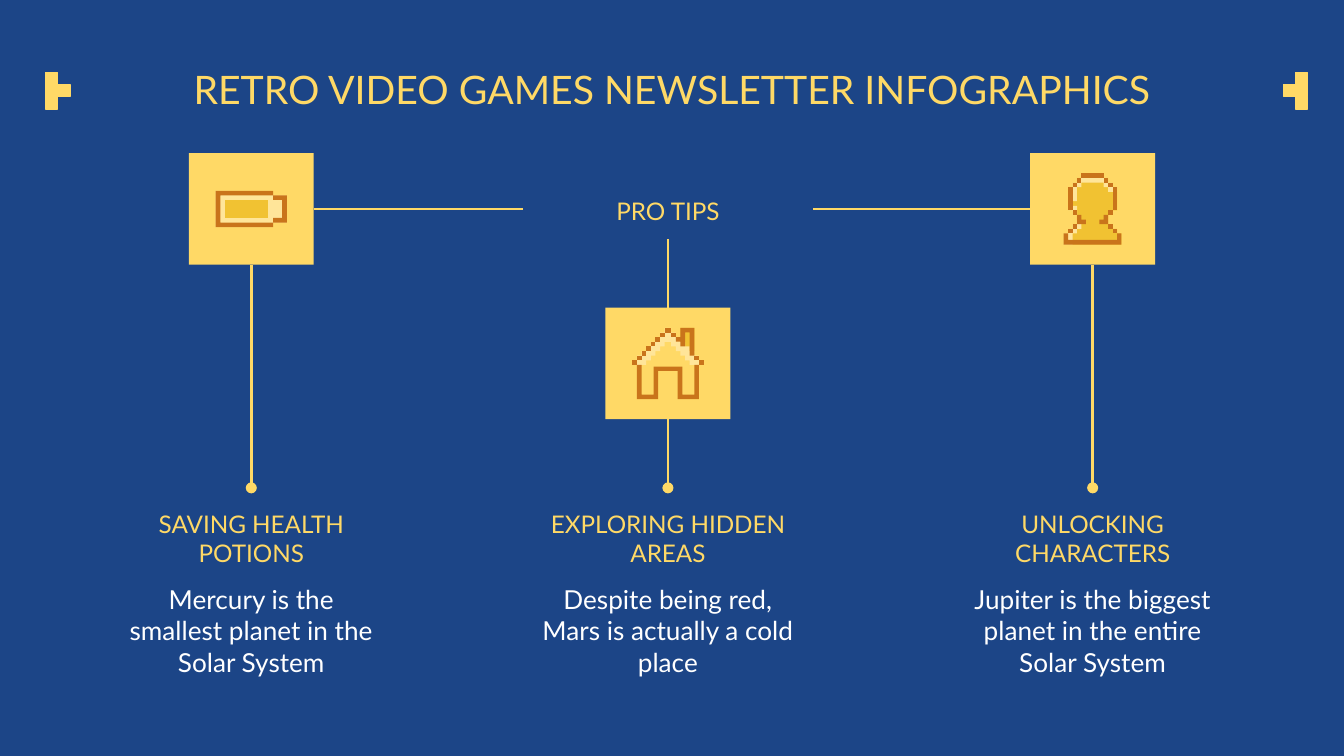
import dataclasses

import lxml.etree
import pptx
import pptx.dml.color
import pptx.enum.shapes
import pptx.enum.text
import pptx.oxml.ns
import pptx.util

Inches = pptx.util.Inches
Pt = pptx.util.Pt
qn = pptx.oxml.ns.qn
RECTANGLE = pptx.enum.shapes.MSO_SHAPE.RECTANGLE
STRAIGHT = pptx.enum.shapes.MSO_CONNECTOR.STRAIGHT
CENTER = pptx.enum.text.PP_ALIGN.CENTER
TOP_ANCHOR = pptx.enum.text.MSO_ANCHOR.TOP
BOTTOM_ANCHOR = pptx.enum.text.MSO_ANCHOR.BOTTOM
TOP, LEFT, BOTTOM, RIGHT = range(4)


@dataclasses.dataclass(frozen=True)
class Theme:
    font: str = "Lato"
    background: str = "1C4587"
    yellow: str = "FFD966"
    gold: str = "F1C232"
    cream: str = "FFE599"
    brown: str = "C9741B"
    white: str = "FFFFFF"
    title_size: float = 21
    heading_size: float = 13
    body_size: float = 14


THEME = Theme()
SLIDE_W = 10
TILE_W, TILE_H = 0.93, 0.83
TEXT_W = 2.16
PIXEL = 0.09


def pixel(x, y):
    return [x, y, x + 1, y + 1]


BATTERY = [
    (THEME.cream, [[0, 0, 12.4, 1, 15.4, 7, 12.4, 8]]),
    (THEME.brown, [[0, 0, 12.4, 1, 1, 7, 12.4, 8],
                   [12.4, 1, 15.4, 7, 12.4, 6, 14.4, 2]]),
    (THEME.gold, [[2, 2, 11.4, 6]]),
]
ROOF_STEPS = [0, 7, 1, 6, 2, 5, 3, 4, 4, 3, 5, 2, 6, 1]
HOUSE = [
    (THEME.yellow, [[7, 0, 8.4, 1, 9.4, 2, 10.4, 0, 13.4, 6, 14.4, 7, 15.4, 8,
                     14.4, 15.4, 9.8, 9.3, 5.6, 15.4, 1, 8] + ROOF_STEPS]),
    (THEME.gold, [[10.4, 0, 13.4, 6, 12.4, 5, 11.4, 4]]),
    (THEME.cream, [[7, 0, 8.4, 1, 9.4, 2, 10.4, 3, 11.4, 4, 12.4, 5, 13.4, 6,
                    14.4, 7, 15.4, 8, 12.4, 7, 11.4, 6, 10.4, 5, 9.4, 4, 8.4, 3,
                    7, 4, 6, 5, 5, 6, 4, 7, 3, 8] + ROOF_STEPS]),
    (THEME.brown, [[7, 0, 8.4, 1],
                   [10.4, 0, 13.4, 6, 12.4, 1, 11.4, 4, 10.4, 3, 9.4, 2],
                   [1, 8, 2, 14.4, 4.6, 8.4, 10.8, 14.4, 13.4, 8, 14.4, 15.4,
                    9.8, 9.3, 5.6, 15.4]]
     + [pixel(i, 7 - i) for i in range(7)]
     + [pixel(8.4, 1), pixel(13.4, 6), pixel(14.4, 7)]),
]
PERSON = [
    (THEME.gold, [[4, 0, 9, 1, 10, 2, 11, 3, 12, 8, 11, 9, 10, 11, 11, 12, 12, 13,
                   13, 15.4, 0, 13, 1, 12, 2, 11, 3, 9, 2, 8, 1, 3, 2, 2, 3, 1]]),
    (THEME.cream, [[3, 10, 4, 12, 3, 13, 2, 15.4, 0, 13, 1, 12, 2, 11],
                   [1, 7, 3, 9, 2, 8],
                   [4, 0, 9, 1, 10, 2, 11, 3, 12, 4, 10, 3, 9, 2, 4, 3, 3, 6,
                    1, 3, 2, 2, 3, 1]]),
    (THEME.brown, [[1, 3, 2, 8], [11, 3, 12, 8], [4, 0, 9, 1],
                   [0, 13, 1, 14.4, 12, 13, 13, 15.4],
                   [9, 9, 10, 11, 8, 10], [3, 9, 4, 10, 5, 11]]
     + [pixel(x, y) for left, y in ((2, 2), (3, 1), (2, 8), (1, 12), (2, 11))
        for x in (left, 12 - left)]),
]
TIPS = [
    (1.87, 1.14, "SAVING HEALTH POTIONS",
     "Mercury is the smallest planet in the Solar System", BATTERY, 0.53, 0.27),
    (4.97, 2.29, "EXPLORING HIDDEN AREAS",
     "Despite being red, Mars is actually a cold place", HOUSE, 0.53, 0.53),
    (8.13, 1.14, "UNLOCKING CHARACTERS",
     "Jupiter is the biggest planet in the entire Solar System", PERSON, 0.43, 0.53),
]


def rgb(color):
    return pptx.dml.color.RGBColor.from_string(color)


def paint(sp, color, outlined=False):
    sp.shadow.inherit = False
    sp.fill.solid()
    sp.fill.fore_color.rgb = rgb(color)
    if outlined:
        sp.line.color.rgb = rgb(color)
        sp.line.width = Pt(0.75)
    else:
        sp.line.fill.background()


def add_box(s, x, y, w, h, outlined=False):
    sp = s.shapes.add_shape(RECTANGLE, Inches(x), Inches(y), Inches(w), Inches(h))
    paint(sp, THEME.yellow, outlined)
    return sp


def add_text(s, x, y, w, h, text, size, color=THEME.yellow,
             anchor=BOTTOM_ANCHOR, space_after=0):
    sp = s.shapes.add_textbox(Inches(x), Inches(y), Inches(w), Inches(h))
    tf = sp.text_frame
    tf.word_wrap = True
    tf.vertical_anchor = anchor
    tf.margin_left = tf.margin_right = tf.margin_top = tf.margin_bottom = Inches(0.1)
    p = tf.paragraphs[0]
    p.text = text
    p.alignment = CENTER
    p.space_after = Pt(space_after)
    p.font.name = THEME.font
    p.font.size = Pt(size)
    p.font.color.rgb = rgb(color)
    return sp


def add_icon(s, cx, cy, w, h, layers):
    outlines = [o for _, group in layers for o in group]
    cell_w = w / max(max(o[::2]) for o in outlines)
    cell_h = h / max(max(o[1::2]) for o in outlines)
    for color, group in layers:
        for outline in group:
            xs = [Inches(cx - w / 2 + x * cell_w) for x in outline[::2]]
            ys = [Inches(cy - h / 2 + y * cell_h) for y in outline[1::2]]
            points = []
            for x, next_x, y in zip(xs, xs[1:] + xs[:1], ys):
                points += [(x, y), (next_x, y)]
            builder = s.shapes.build_freeform(*points[-1], scale=1.0)
            builder.add_line_segments(points[:-1], close=True)
            paint(builder.convert_to_shape(), color)


def add_link(s, start, start_side, end, end_side, dot=False):
    line = s.shapes.add_connector(STRAIGHT, 0, 0, 0, 0)
    line.begin_connect(start, start_side)
    line.end_connect(end, end_side)
    line.line.color.rgb = rgb(THEME.yellow)
    line.line.width = Pt(1.5)
    if dot:
        ln = line.line._get_or_add_ln()
        lxml.etree.SubElement(ln, qn("a:tailEnd"), type="oval")
    lxml.etree.SubElement(line._element.spPr, qn("a:effectLst"))


def add_bracket(s, edge_x, inner_x):
    for x, row in ((edge_x, 0), (edge_x, 1), (edge_x, 2), (inner_x, 1)):
        add_box(s, x, 0.54 + row * PIXEL, PIXEL, PIXEL, outlined=True)


def main():
    prs = pptx.Presentation()
    prs.slide_width = Inches(SLIDE_W)
    prs.slide_height = Inches(SLIDE_W * 9 / 16)
    s = prs.slides.add_slide(prs.slide_layouts[6])
    s.background.fill.solid()
    s.background.fill.fore_color.rgb = rgb(THEME.background)

    add_text(s, 0.34, 0.31, 9.32, 0.63,
             "RETRO VIDEO GAMES NEWSLETTER INFOGRAPHICS", THEME.title_size)
    add_bracket(s, 0.34, 0.43)
    add_bracket(s, 9.64, 9.55)
    hub = add_text(s, 3.89, 1.33, TEXT_W, 0.45, "PRO TIPS", THEME.heading_size)

    tiles = []
    for cx, top, heading, body, icon, icon_w, icon_h in TIPS:
        tile = add_box(s, cx - TILE_W / 2, top, TILE_W, TILE_H)
        left = cx - TEXT_W / 2
        title = add_text(s, left, 3.63, TEXT_W, 0.69, heading, THEME.heading_size)
        add_text(s, left, 4.24, TEXT_W, 0.69, body, THEME.body_size,
                 THEME.white, TOP_ANCHOR, 16)
        add_icon(s, cx, top + TILE_H / 2, icon_w, icon_h, icon)
        add_link(s, tile, BOTTOM, title, TOP, dot=True)
        tiles.append(tile)

    for tile, hub_side, tile_side in zip(tiles, (LEFT, BOTTOM, RIGHT), (RIGHT, TOP, LEFT)):
        add_link(s, hub, hub_side, tile, tile_side)
    prs.save("out.pptx")


if __name__ == "__main__":
    main()
